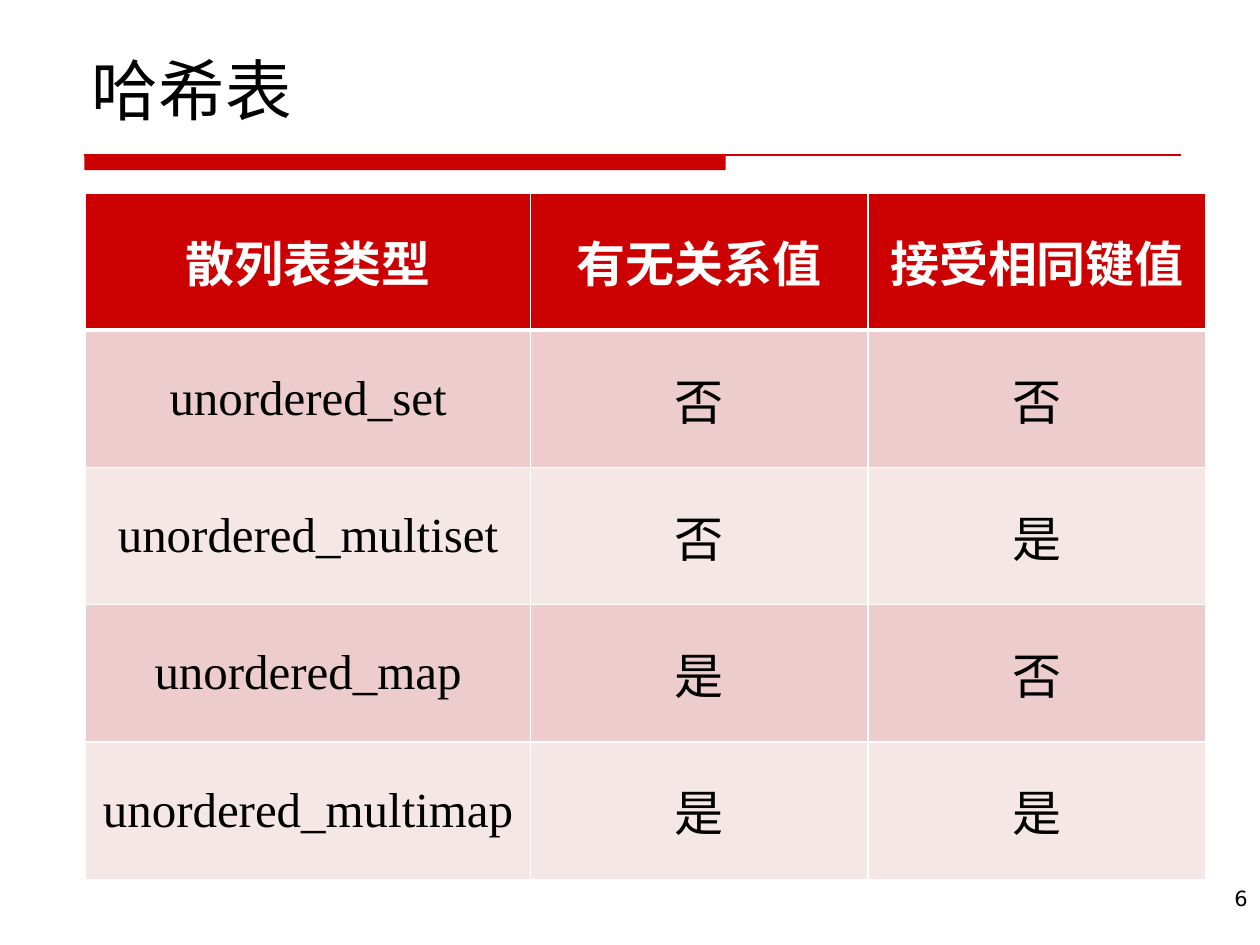
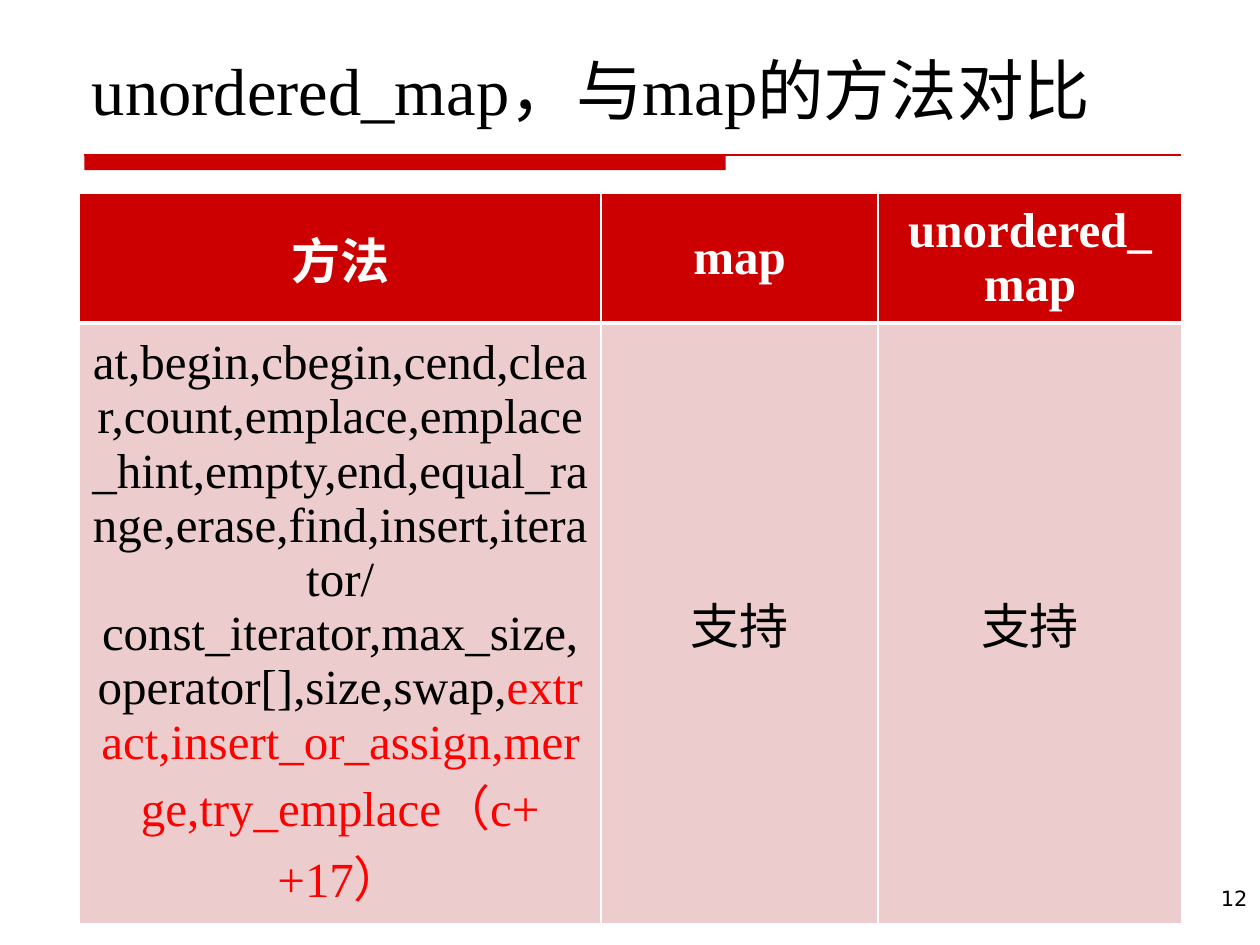
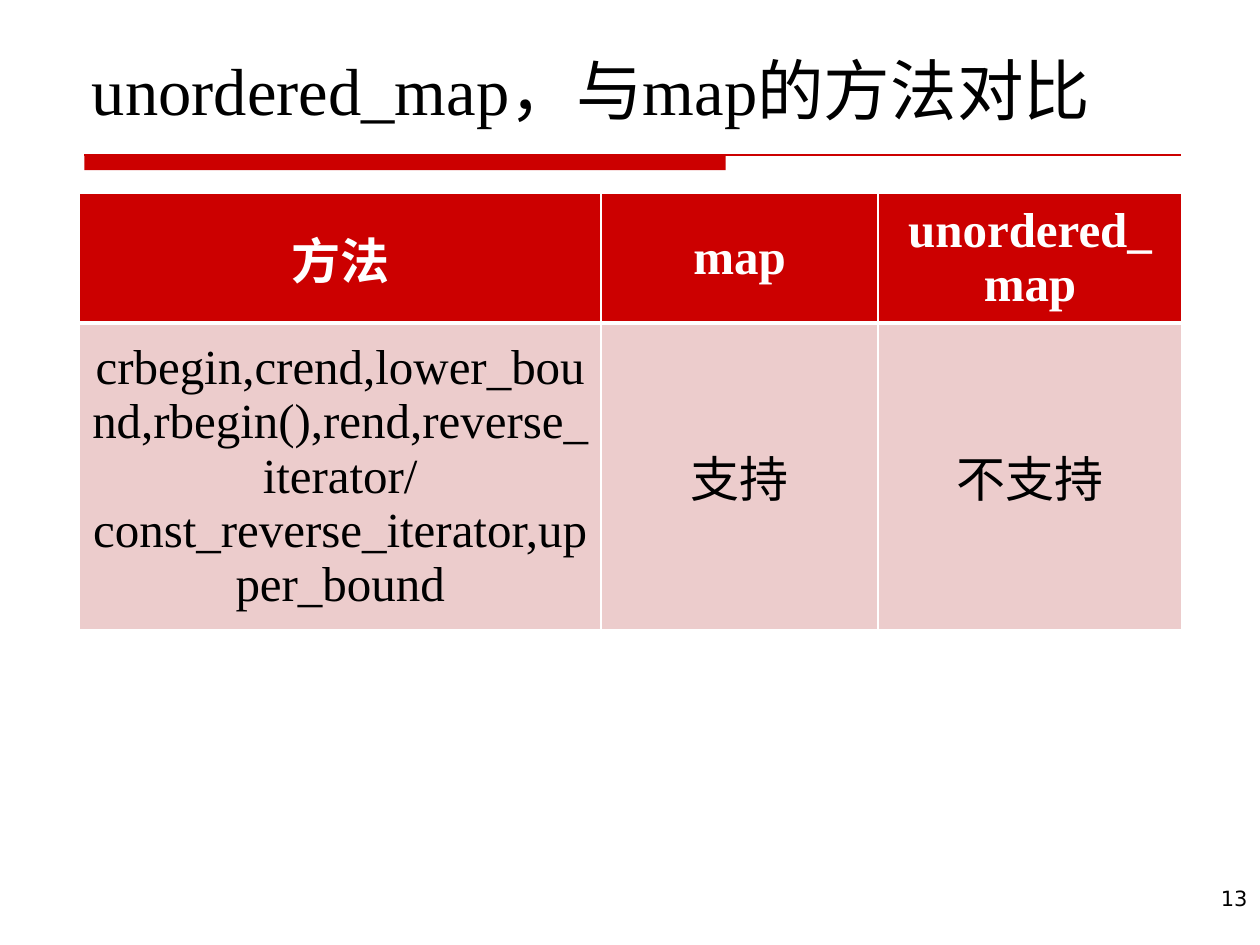
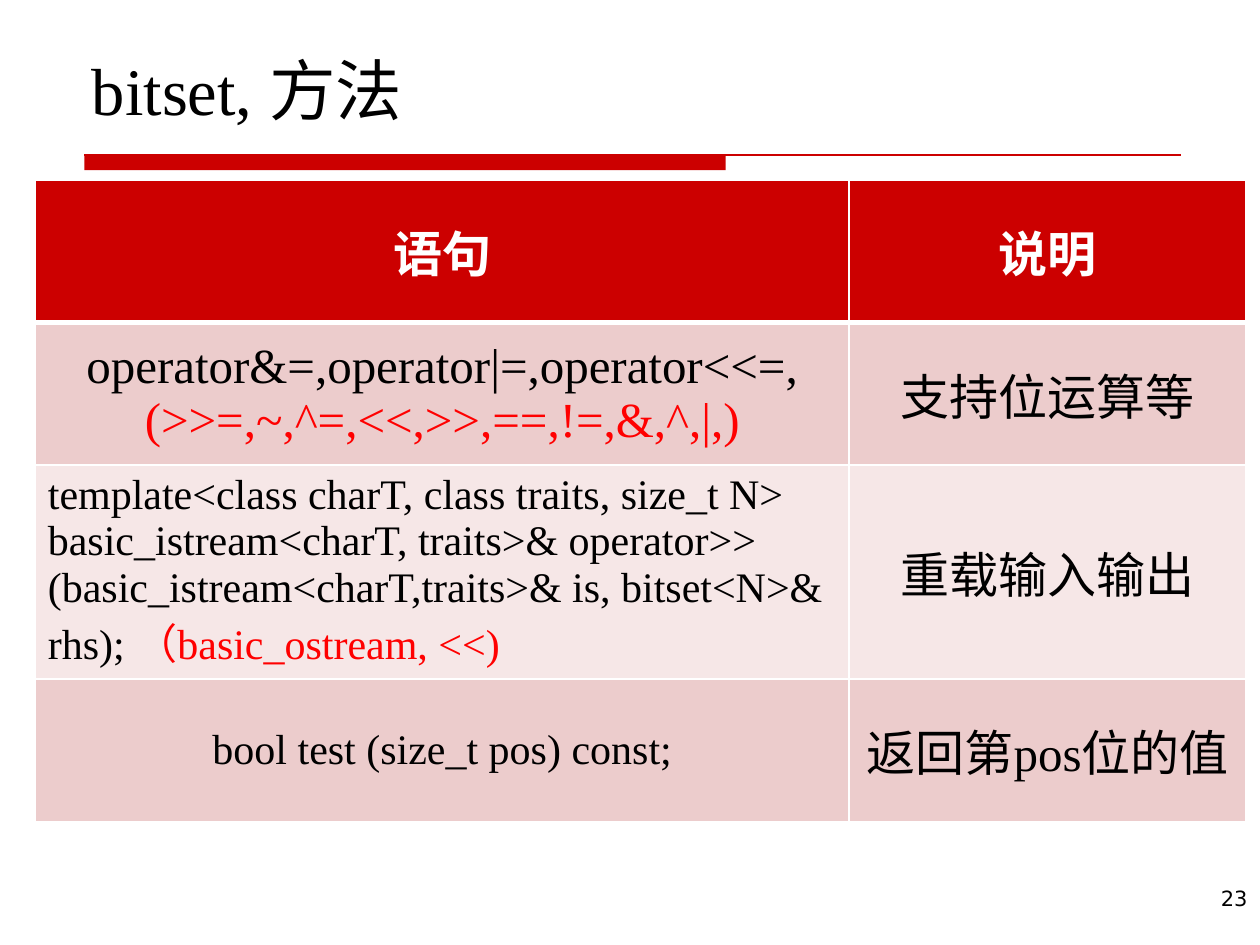
from dataclasses import dataclass

from lxml.etree import SubElement
from pptx import Presentation
from pptx.dml.color import RGBColor
from pptx.enum.shapes import MSO_CONNECTOR as Link, MSO_SHAPE as Shape
from pptx.enum.text import MSO_ANCHOR as Anchor, MSO_AUTO_SIZE as Fit, PP_ALIGN as Align
from pptx.oxml.ns import qn
from pptx.util import Inches, Pt

RED = RGBColor(0xCC, 0x00, 0x00)
HOT = RGBColor(0xFF, 0x00, 0x00)
ROSE = RGBColor(0xEC, 0xCC, 0xCC)
PALE = RGBColor(0xF6, 0xE7, 0xE7)
WHITE = RGBColor(0xFF, 0xFF, 0xFF)
BLACK = RGBColor(0x00, 0x00, 0x00)
SERIF = "Times New Roman"
SANS = "DejaVu Sans"


@dataclass
class Rich:
    """Cell text as paragraphs of (text, colour) runs."""
    paras: list
    size: int = 28
    align: Align = Align.CENTER


def style(para, size, color=None, name=SERIF, bold=False, align=Align.LEFT):
    """Set the font and alignment of a paragraph."""
    para.alignment = align
    font = para.font
    font.name, font.size, font.bold = name, Pt(size), bold
    if color is not None:
        font.color.rgb = color


def head(slide, text, box):
    """Fill the title placeholder and move it to its box."""
    title = slide.shapes.title
    title.left, title.top, title.width, title.height = map(Inches, box)
    frame = title.text_frame
    frame.text = text
    frame.auto_size = Fit.NONE
    frame.vertical_anchor = Anchor.BOTTOM
    style(frame.paragraphs[0], 38, BLACK)


def band(slide, box):
    """Draw the red bar and the thin rule that runs on from its top."""
    left, top, width, height = box
    bar = slide.shapes.add_shape(
        Shape.RECTANGLE, Inches(left), Inches(top), Inches(5.09), Inches(height))
    bar.shadow.inherit = False
    bar.fill.solid()
    bar.fill.fore_color.rgb = RED
    bar.line.fill.background()
    rule = slide.shapes.add_connector(
        Link.STRAIGHT, Inches(left), Inches(top), Inches(left + width), Inches(top))
    rule.line.color.rgb = RED
    rule.line.width = Pt(0.75)
    SubElement(rule._element.spPr, qn("a:effectLst"))


def folio(slide, number, box):
    """Write the slide number at the lower right."""
    frame = slide.shapes.add_textbox(*map(Inches, box)).text_frame
    frame.word_wrap = True
    frame.text = str(number)
    style(frame.paragraphs[0], 12, BLACK, SANS, align=Align.RIGHT)


def edge(cell, top, bottom):
    """Give a cell white borders, with the top and bottom widths in points."""
    props = cell._tc.get_or_add_tcPr()
    for side, width in (("L", 1), ("R", 1), ("T", top), ("B", bottom)):
        line = SubElement(props, qn(f"a:ln{side}"), w=str(Pt(width)))
        fill = SubElement(line, qn("a:solidFill"))
        SubElement(fill, qn("a:srgbClr"), val=str(WHITE))


def write(cell, item, first):
    """Write plain or rich text into a cell."""
    if isinstance(item, str):
        item = Rich([[(item, WHITE if first else BLACK)]])
    cell.vertical_anchor = Anchor.MIDDLE
    frame = cell.text_frame
    for i, runs in enumerate(item.paras):
        para = frame.add_paragraph() if i else frame.paragraphs[0]
        style(para, item.size, bold=first, align=item.align)
        for text, color in runs:
            run = para.add_run()
            run.text = text
            run.font.color.rgb = color


def grid(slide, left, top, cols, high, rows):
    """Build a table with a red header and banded body rows."""
    table = slide.shapes.add_table(
        len(rows), len(cols), Inches(left), Inches(top),
        Inches(sum(cols)), Inches(high * len(rows))).table
    for col, width in zip(table.columns, cols):
        col.width = Inches(width)
    for r, row in enumerate(rows):
        for c, item in enumerate(row):
            cell = table.cell(r, c)
            edge(cell, 3 if r == 1 else 1, 3 if r == 0 else 1)
            cell.fill.solid()
            cell.fill.fore_color.rgb = RED if r == 0 else ROSE if r % 2 else PALE
            write(cell, item, r == 0)


def page(deck, title, number, *parts):
    """Add a slide with title, band, number and table."""
    slide = deck.slides.add_slide(deck.slide_layouts[5])
    band(slide, (0.67, 1.23, 8.7, 0.12))
    folio(slide, number, (7.86, 6.98, 2.14, 0.52))
    head(slide, title, (0.63, 0.33, 8.75, 0.74))
    grid(slide, *parts)


def match(deck, number, row):
    """Add a slide that compares methods of the two maps."""
    page(deck, "unordered_map，与map的方法对比", number,
         0.63, 1.53, (4.14, 2.2, 2.41), 0.81,
         [("方法", "map", "unordered_map"), row])


def main():
    """Build and save the deck."""
    deck = Presentation()
    deck.slide_width, deck.slide_height = Inches(10), Inches(7.5)
    page(deck, "哈希表", 6, 0.68, 1.53, (3.53, 2.68, 2.68), 1.09, [
        ("散列表类型", "有无关系值", "接受相同键值"),
        ("unordered_set", "否", "否"),
        ("unordered_multiset", "否", "是"),
        ("unordered_map", "是", "否"),
        ("unordered_multimap", "是", "是"),
    ])
    both = Rich([[
        ("at,begin,cbegin,cend,clear,count,emplace,emplace_hint,empty,end,"
         "equal_range,erase,find,insert,iterator/const_iterator,max_size,"
         "operator[],size,swap,", BLACK),
        ("extract,insert_or_assign,merge,try_emplace（c++17）", HOT),
    ]])
    match(deck, 12, (both, "支持", "支持"))
    match(deck, 13, (
        "crbegin,crend,lower_bound,rbegin(),rend,"
        "reverse_iterator/const_reverse_iterator,upper_bound",
        "支持", "不支持"))
    bits = Rich([[("operator&=,operator|=,operator<<=,", BLACK)],
                 [("(>>=,~,^=,<<,>>,==,!=,&,^,|,)", HOT)]])
    stream = Rich([[
        ("template<class charT, class traits, size_t N> "
         "basic_istream<charT, traits>& operator>> "
         "(basic_istream<charT,traits>& is, bitset<N>& rhs); ", BLACK),
        ("（basic_ostream, <<)", HOT),
    ]], 24, Align.LEFT)
    test = Rich([[("bool test (size_t pos) const;", BLACK)]], 24)
    page(deck, "bitset, 方法", 23, 0.28, 1.43, (6.46, 3.15), 1.13, [
        ("语句", "说明"),
        (bits, "支持位运算等"),
        (stream, "重载输入输出"),
        (test, "返回第pos位的值"),
    ])
    deck.save("out.pptx")


if __name__ == "__main__":
    main()
